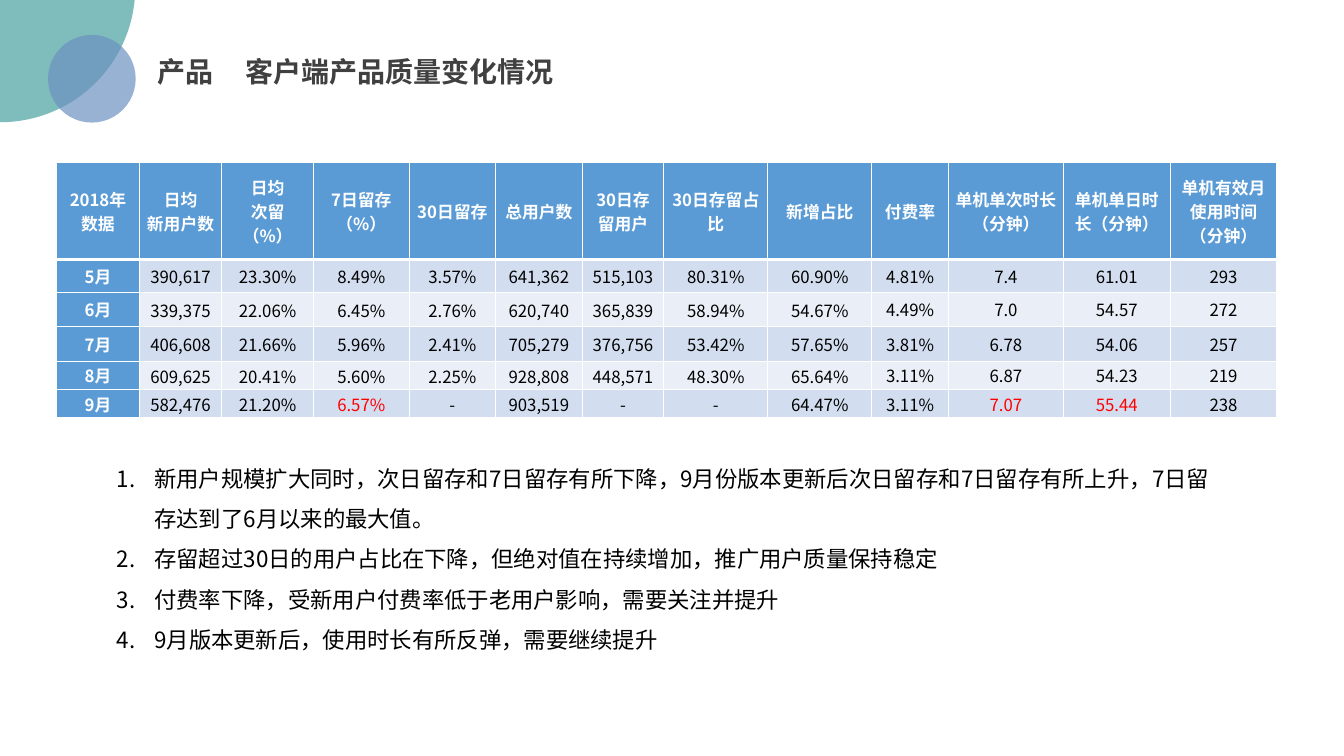
from lxml import etree
from pptx import Presentation, util as u
from pptx.dml import color
from pptx.enum import shapes, text
from pptx.oxml import ns

COLORS = {
    "teal": "48A2A0", "steel": "6C92C0", "title": "404040", "black": "000000",
    "white": "FFFFFF", "red": "FF0000", "header": "5B9BD5",
    "dark band": "D2DEEF", "light band": "EAEFF7",
}
COLUMN_WIDTHS = [2.08, 2.08, 2.31, 2.41, 2.18, 2.18, 2.06, 2.62, 2.62, 1.93, 2.9, 2.69, 2.69]
ROW_HEIGHTS = [2.44, 0.84, 0.84, 0.89, 0.71, 0.71]
METRICS = [
    ["2018年数据", "日均\n新用户数", "日均\n次留（%）", "7日留存（%）", "30日留存", "总用户数", "30日存留用户",
     "30日存留占比", "新增占比", "付费率", "单机单次时长（分钟）", "单机单日时长（分钟）", "单机有效月使用时间（分钟）"],
    ["5月", "390,617", "23.30%", "8.49%", "3.57%", "641,362", "515,103",
     "80.31%", "60.90%", "4.81%", "7.4", "61.01", "293"],
    ["6月", "339,375", "22.06%", "6.45%", "2.76%", "620,740", "365,839",
     "58.94%", "54.67%", "4.49%", "7.0", "54.57", "272"],
    ["7月", "406,608", "21.66%", "5.96%", "2.41%", "705,279", "376,756",
     "53.42%", "57.65%", "3.81%", "6.78", "54.06", "257"],
    ["8月", "609,625", "20.41%", "5.60%", "2.25%", "928,808", "448,571",
     "48.30%", "65.64%", "3.11%", "6.87", "54.23", "219"],
    ["9月", "582,476", "21.20%", "6.57%", "-", "903,519", "-",
     "-", "64.47%", "3.11%", "7.07", "55.44", "238"],
]
REBOUNDS = {(5, 3), (5, 10), (5, 11)}
FINDINGS = [
    "新用户规模扩大同时，次日留存和7日留存有所下降，9月份版本更新后次日留存和7日留存有所上升，7日留存达到了6月以来的最大值。",
    "存留超过30日的用户占比在下降，但绝对值在持续增加，推广用户质量保持稳定",
    "付费率下降，受新用户付费率低于老用户影响，需要关注并提升",
    "9月版本更新后，使用时长有所反弹，需要继续提升",
]


class SlideBuilder:
    """Holds the style and the current slide, and adds each kind of element."""

    font_name = "Noto Sans CJK SC"

    def __init__(self, slide):
        self.slide = slide

    def child(self, parent, tag, **attributes):
        return etree.SubElement(parent, ns.qn(tag), attributes)

    def fill(self, target, color_name):
        target.fill.solid()
        target.fill.fore_color.rgb = color.RGBColor.from_string(COLORS[color_name])

    def run(self, paragraph, words, size, color_name, bold=False):
        run = paragraph.add_run()
        run.text = words
        run.font.size = u.Pt(size)
        run.font.bold = bold
        run.font.name = self.font_name
        run.font.color.rgb = color.RGBColor.from_string(COLORS[color_name])
        self.child(run.font._element, "a:ea", typeface=self.font_name)

    def circle(self, left, top, diameter, color_name):
        shape = self.slide.shapes.add_shape(
            shapes.MSO_SHAPE.OVAL, u.Cm(left), u.Cm(top), u.Cm(diameter), u.Cm(diameter))
        shape.shadow.inherit = False
        shape.line.fill.background()
        self.fill(shape, color_name)
        fill_color = shape._element.spPr.find(".//" + ns.qn("a:srgbClr"))
        self.child(fill_color, "a:alpha", val="70000")

    def text_box(self, left, top, width, height, wrap):
        box = self.slide.shapes.add_textbox(u.Cm(left), u.Cm(top), u.Cm(width), u.Cm(height))
        box.text_frame.word_wrap = wrap
        box.text_frame.auto_size = text.MSO_AUTO_SIZE.SHAPE_TO_FIT_TEXT
        return box.text_frame

    def title(self, section, topic):
        paragraph = self.text_box(3.73, 1.24, 10.82, 1.11, False).paragraphs[0]
        tabs = self.child(paragraph._p.get_or_add_pPr(), "a:tabLst")
        self.child(tabs, "a:tab", pos=str(u.Cm(2.21)), algn="l")
        self.run(paragraph, f"{section}\t{topic}", 20, "title", True)

    def numbered_list(self, items):
        frame = self.text_box(2.69, 11.25, 28.24, 5.26, True)
        for index, item in enumerate(items):
            paragraph = frame.add_paragraph() if index else frame.paragraphs[0]
            paragraph.line_spacing = 1.5
            properties = paragraph._p.get_or_add_pPr()
            properties.set("marL", str(u.Cm(0.95)))
            properties.set("indent", str(-u.Cm(0.95)))
            self.child(properties, "a:buFont", typeface="+mj-lt")
            self.child(properties, "a:buAutoNum", type="arabicPeriod")
            self.run(paragraph, item, 16, "black")

    def borders(self, cell, row):
        properties = cell._tc.get_or_add_tcPr()
        thick = {(0, "B"), (1, "T")}
        for side in "LRTB":
            width = 3 if (row, side) in thick else 1
            line = self.child(properties, f"a:ln{side}", w=str(u.Pt(width)))
            self.child(self.child(line, "a:solidFill"), "a:srgbClr", val=COLORS["white"])

    def cell(self, cell, row, column, words):
        heading = row == 0 or column == 0
        side, top = (0.18, 0) if heading or column >= 9 else (0.02, 0.02)
        cell.margin_left = cell.margin_right = u.Cm(side)
        cell.margin_top, cell.margin_bottom = u.Cm(top), 0
        cell.vertical_anchor = text.MSO_ANCHOR.MIDDLE
        self.borders(cell, row)
        self.fill(cell, "header" if heading else "dark band" if row % 2 else "light band")
        text_color = "white" if heading else "red" if (row, column) in REBOUNDS else "black"
        for index, line in enumerate(words.split("\n")):
            paragraph = cell.text_frame.add_paragraph() if index else cell.text_frame.paragraphs[0]
            paragraph.alignment = text.PP_ALIGN.CENTER
            self.run(paragraph, line, 12, text_color, heading)

    def table(self, rows):
        frame = self.slide.shapes.add_table(
            len(rows), len(COLUMN_WIDTHS), u.Cm(1.43), u.Cm(4.1),
            u.Cm(sum(COLUMN_WIDTHS)), u.Cm(sum(ROW_HEIGHTS)))
        table = frame.table
        table.horz_banding = False
        for column, width in zip(table.columns, COLUMN_WIDTHS):
            column.width = u.Cm(width)
        for row, height in zip(table.rows, ROW_HEIGHTS):
            row.height = u.Cm(height)
        for row, values in enumerate(rows):
            for column, words in enumerate(values):
                self.cell(table.cell(row, column), row, column, words)


def main():
    presentation = Presentation()
    presentation.slide_width, presentation.slide_height = u.Cm(33.87), u.Cm(19.05)
    builder = SlideBuilder(presentation.slides.add_slide(presentation.slide_layouts[6]))
    builder.circle(-3.4, -3.73, 6.81, "teal")
    builder.circle(1.21, 0.88, 2.21, "steel")
    builder.title("产品", "客户端产品质量变化情况")
    builder.numbered_list(FINDINGS)
    builder.table(METRICS)
    presentation.save("out.pptx")


if __name__ == "__main__":
    main()
